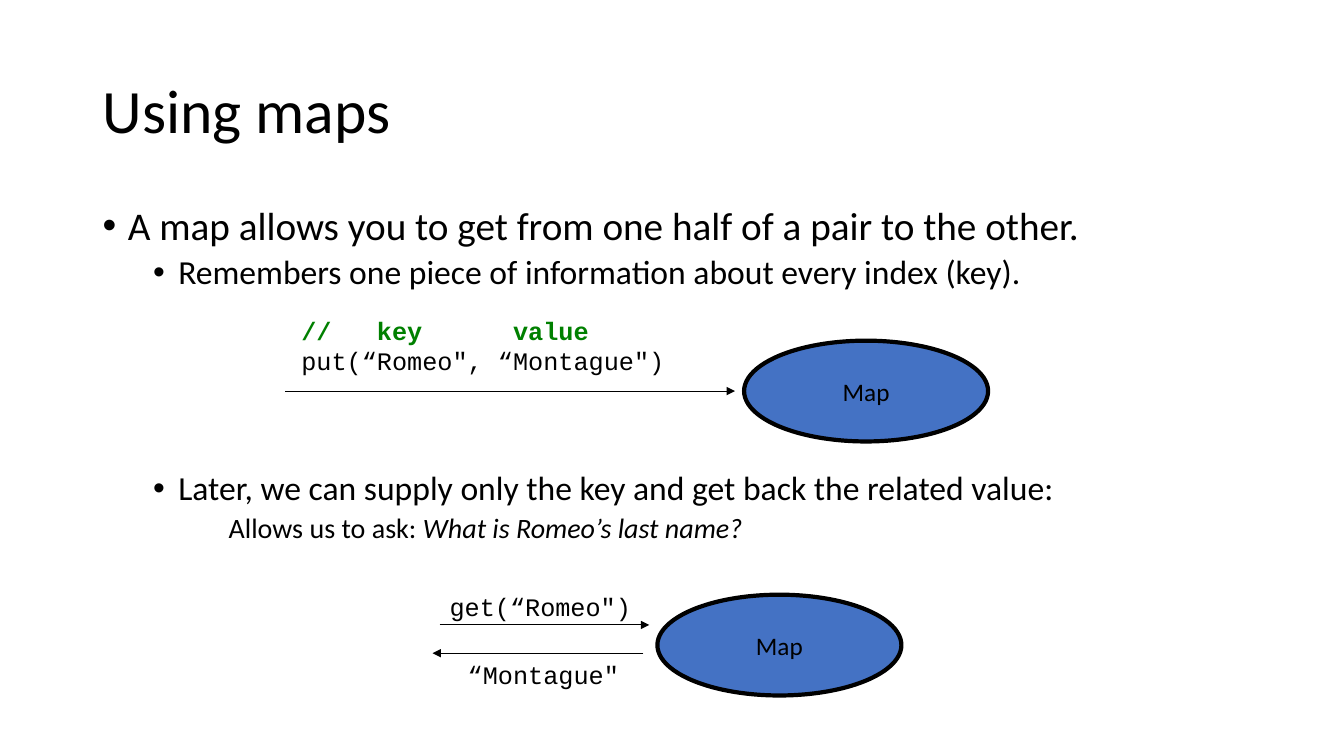
from pptx import Presentation
from pptx.util import Inches, Pt
from pptx.dml.color import RGBColor
from pptx.enum.shapes import MSO_CONNECTOR, MSO_SHAPE
from pptx.enum.text import MSO_ANCHOR, PP_ALIGN
from pptx.oxml.ns import qn
from lxml.etree import SubElement

HUES = {"ink": "000000", "fill": "4472C4", "note": "008000"}
SANS, MONO = "Calibri", "Courier New"

TITLE = "Using maps"
BODY = [
    ("A map allows you to get from one half of a pair to the other.", "", 28, 0, 10, True),
    ("Remembers one piece of information about every index (key).", "", 24, 1, 5, True),
    ("Later, we can supply only the key and get back the related value:", "", 24, 1, 128, True),
    ("Allows us to ask: ", "What is Romeo’s last name?", 20, 2, 5, False),
]
CODE = [
    (2.89, 3.08, 3.82, 0.71, ["//\tkey\tvalue", "put(“Romeo\", “Montague\")"]),
    (4.36, 5.82, 2.01, 0.4, ["get(“Romeo\")"]),
    (4.54, 6.49, 1.71, 0.4, ["“Montague\""]),
]
MAPS = [(7.38, 3.38), (6.52, 5.9)]
ARROWS = [(2.83, 7.29, 3.88), (4.36, 6.44, 6.2), (6.38, 4.29, 6.48)]
STOPS = [0.75, 2.1]


def tint(name):
    return RGBColor.from_string(HUES[name])


def style(run, size, face=SANS, hue="ink"):
    font = run.font
    font.size, font.name = Pt(size), face
    font.color.rgb = tint(hue)
    return font


def add_box(x, y, w, h, wrap=True):
    frame = slide.shapes.add_textbox(*map(Inches, (x, y, w, h))).text_frame
    frame.word_wrap = wrap
    return frame


def add_body():
    frame = add_box(0.92, 2, 11.5, 4.76)
    for i, (text, tail, size, level, gap, dot) in enumerate(BODY):
        para = frame.add_paragraph() if i else frame.paragraphs[0]
        para.text = text
        para.level = level
        para.line_spacing, para.space_before = 0.9, Pt(gap)
        if tail:
            para.add_run().text = tail
        for run in para.runs:
            style(run, size)
        if tail:
            para.runs[-1].font.italic = True
        props = para._p.get_or_add_pPr()
        props.set("marL", str(Inches(0.25 + 0.5 * level)))
        props.set("indent", str(Inches(-0.25 if dot else 0)))
        if dot:
            SubElement(props, qn("a:buFont"), typeface="Arial")
            SubElement(props, qn("a:buChar"), char="•")


def add_code(x, y, w, h, lines):
    frame = add_box(x, y, w, h, False)
    frame.text = "\n".join(lines)
    for para in frame.paragraphs:
        note = para.text.startswith("//")
        for run in para.runs:
            style(run, 18, MONO, "note" if note else "ink").bold = note
        if note:
            tabs = SubElement(para._p.get_or_add_pPr(), qn("a:tabLst"))
            for stop in STOPS:
                SubElement(tabs, qn("a:tab"), pos=str(Inches(stop)), algn="l")


def add_map(x, y):
    oval = slide.shapes.add_shape(MSO_SHAPE.OVAL, *map(Inches, (x, y, 2.42, 1)))
    oval.shadow.inherit = False
    oval.fill.solid()
    oval.fill.fore_color.rgb = tint("fill")
    oval.line.color.rgb = tint("ink")
    oval.line.width = Pt(3)
    frame = oval.text_frame
    frame.text = "Map"
    frame.word_wrap = False
    frame.vertical_anchor = MSO_ANCHOR.MIDDLE
    frame.paragraphs[0].alignment = PP_ALIGN.CENTER
    style(frame.paragraphs[0].runs[0], 18)


def add_arrow(start, end, y):
    line = slide.shapes.add_connector(
        MSO_CONNECTOR.STRAIGHT, *map(Inches, (start, y, end, y)))
    line.line.color.rgb = tint("ink")
    line.line.width = Pt(0.75)
    SubElement(line.line._get_or_add_ln(), qn("a:tailEnd"), type="triangle")
    SubElement(line._element.spPr, qn("a:effectLst"))


deck = Presentation()
deck.slide_width, deck.slide_height = Inches(13.33), Inches(7.5)
slide = deck.slides.add_slide(deck.slide_layouts[6])

head = add_box(0.92, 0.4, 11.5, 1.45)
head.text = TITLE
head.vertical_anchor = MSO_ANCHOR.MIDDLE
head.paragraphs[0].line_spacing = 0.9
style(head.paragraphs[0].runs[0], 44)

add_body()
for spot in MAPS:
    add_map(*spot)
for arrow in ARROWS:
    add_arrow(*arrow)
for code in CODE:
    add_code(*code)

deck.save("out.pptx")
